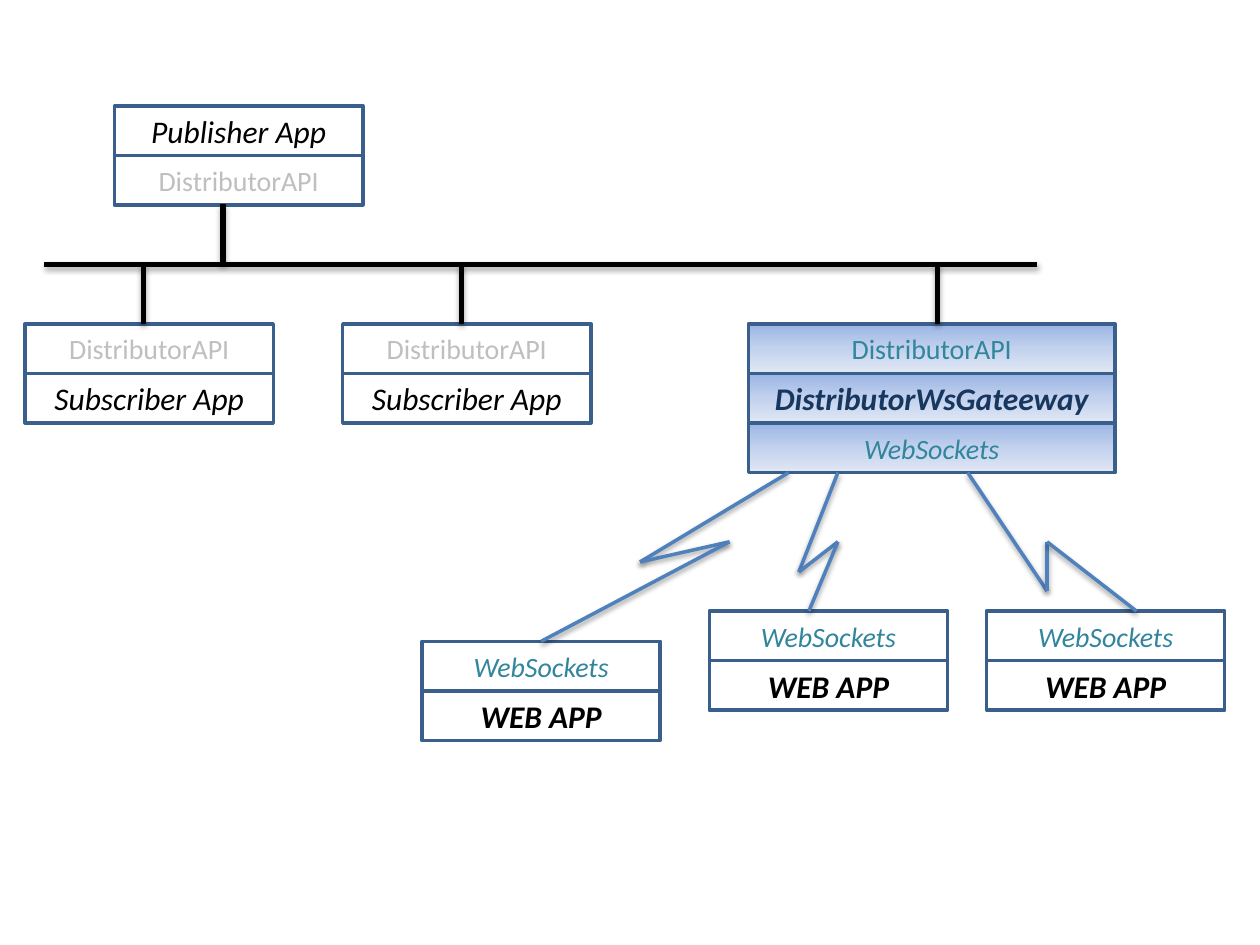
from copy import deepcopy
from lxml import etree
from pptx import Presentation, util as u
from pptx.dml.color import RGBColor
from pptx.enum import shapes, text
from pptx.oxml.ns import qn

COLORS = {"border": "3A5F8C", "black": "000000", "gray": "BFBFBF",
          "teal": "31859C", "navy": "17375E", "wire": "4F81BD"}
GATEWAY_GRADIENT = ["9AB5E4", "C2D1ED", "E1E8F5"]
FONT = "Calibri"
ROW = 1 / 2.54  # every row is one centimetre high

# Row styles: size, colour, bold, italic
STYLES = {
    "api": (16, "gray", False, False),
    "app": (18, "black", False, True),
    "gateway api": (16, "teal", False, False),
    "gateway": (18, "navy", True, True),
    "socket": (16, "teal", False, True),
    "web": (18, "black", True, True),
}
SUBSCRIBER = [("DistributorAPI", "api"), ("Subscriber App", "app")]
WEB_APP = [("WebSockets", "socket"), ("WEB APP", "web")]
GATEWAY = [("DistributorAPI", "gateway api"),
           ("DistributorWsGateeway", "gateway"), ("WebSockets", "socket")]

# Stacks of rows: left, top, width, rows, filled
STACKS = [
    (0.91, 0.84, 1.97, [("Publisher App", "app"), ("DistributorAPI", "api")], False),
    (0.2, 2.57, 1.97, SUBSCRIBER, False),
    (2.72, 2.57, 1.97, SUBSCRIBER, False),
    (5.94, 2.57, 2.91, GATEWAY, True),
    (3.35, 5.09, 1.89, WEB_APP, False),
    (5.63, 4.85, 1.89, WEB_APP, False),
    (7.83, 4.85, 1.89, WEB_APP, False),
]
LEFT_WEB_APP = 4

# Bus and its taps: x, top, bottom
BUS_Y, BUS_LEFT, BUS_RIGHT = 2.1, 0.35, 8.23
TAPS = [(1.77, 1.62, BUS_Y)] + [(x, BUS_Y, 2.57) for x in (1.14, 3.66, 7.44)]

# Lightning-shaped links from the gateway to the web apps
LINKS = [
    [(6.26, 3.75), (5.08, 4.46), (5.79, 4.3), (4.29, 5.09)],
    [(6.65, 3.75), (6.34, 4.54), (6.65, 4.3), (6.42, 4.85)],
    [(7.68, 3.75), (8.31, 4.69), (8.31, 4.3), (9.02, 4.85)],
]


def rgb(name):
    return RGBColor.from_string(COLORS[name])


def fill_gradient(shape, colors):
    shape.fill.gradient()
    shape.fill.gradient_angle = 270
    stop_list = shape._element.spPr.find(".//" + qn("a:gsLst"))
    stop_list.insert(1, deepcopy(stop_list[0]))
    for index, (stop, color) in enumerate(zip(shape.fill.gradient_stops, colors)):
        stop.color.rgb = RGBColor.from_string(color)
        stop.position = index / (len(colors) - 1)


def add_row(slide, left, top, width, label, style, filled):
    size, color, bold, italic = STYLES[style]
    shape = slide.shapes.add_shape(
        shapes.MSO_SHAPE.RECTANGLE,
        *(u.Inches(value) for value in (left, top, width, ROW)))
    shape.shadow.inherit = False
    if filled:
        fill_gradient(shape, GATEWAY_GRADIENT)
    else:
        shape.fill.background()
    shape.line.color.rgb = rgb("border")
    shape.line.width = u.Pt(2)
    frame = shape.text_frame
    frame.word_wrap = True
    frame.vertical_anchor = text.MSO_ANCHOR.MIDDLE
    paragraph = frame.paragraphs[0]
    paragraph.alignment = text.PP_ALIGN.CENTER
    run = paragraph.add_run()
    run.text = label
    run.font.name, run.font.size = FONT, u.Pt(size)
    run.font.bold, run.font.italic = bold, italic
    run.font.color.rgb = rgb(color)
    return shape


def add_line(slide, start, end, color, width, distance, opacity):
    line = slide.shapes.add_connector(
        shapes.MSO_CONNECTOR.STRAIGHT,
        *(u.Inches(value) for value in (*start, *end)))
    line.line.color.rgb = rgb(color)
    line.line.width = u.Pt(width)
    # Soft shadow straight below the line
    effects = etree.SubElement(line._element.spPr, qn("a:effectLst"))
    shadow = etree.SubElement(
        effects, qn("a:outerShdw"), blurRad=str(u.Pt(3.1)),
        dist=str(u.Pt(distance)), dir="5400000", rotWithShape="0")
    shade = etree.SubElement(shadow, qn("a:srgbClr"), val=COLORS["black"])
    etree.SubElement(shade, qn("a:alpha"), val=str(opacity * 1000))
    return line


def main():
    presentation = Presentation()
    presentation.slide_width = u.Inches(10)
    presentation.slide_height = u.Inches(7.5)
    slide = presentation.slides.add_slide(presentation.slide_layouts[6])

    # Application stacks
    top_rows = []
    for left, top, width, rows, filled in STACKS:
        boxes = [add_row(slide, left, top + index * ROW, width, label, style, filled)
                 for index, (label, style) in enumerate(rows)]
        top_rows.append(boxes[0])

    # Bus and taps
    bus_lines = [((BUS_LEFT, BUS_Y), (BUS_RIGHT, BUS_Y))]
    bus_lines += [((x, top), (x, bottom)) for x, top, bottom in TAPS]
    for start, end in bus_lines:
        add_line(slide, start, end, "black", 3, 1.8, 35)

    # Web socket links
    last_segments = []
    for points in LINKS:
        segments = [add_line(slide, start, end, "wire", 2, 1.6, 38)
                    for start, end in zip(points, points[1:])]
        last_segments.append(segments[-1])
    last_segments[0].end_connect(top_rows[LEFT_WEB_APP], 0)

    presentation.save("out.pptx")


if __name__ == "__main__":
    main()
